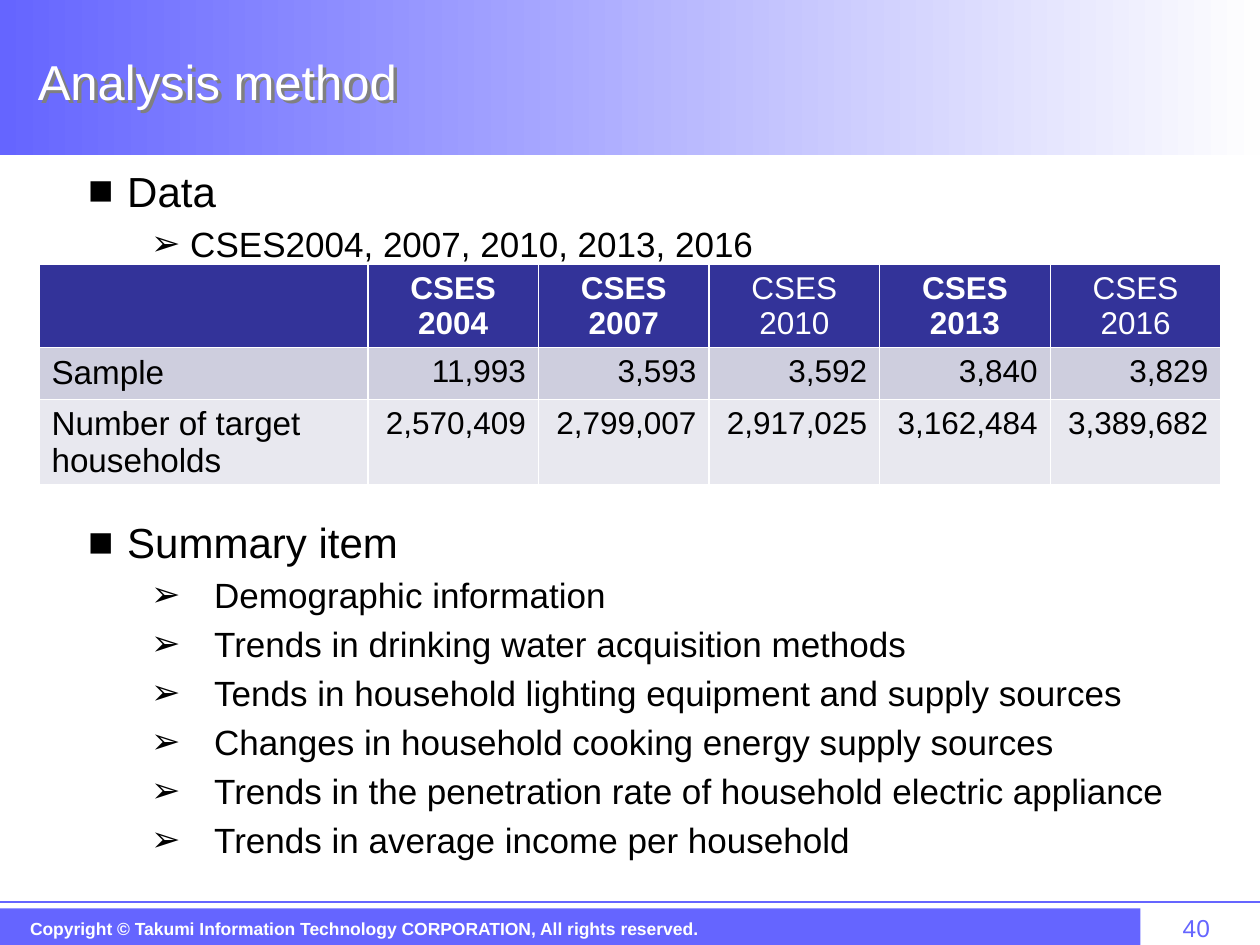
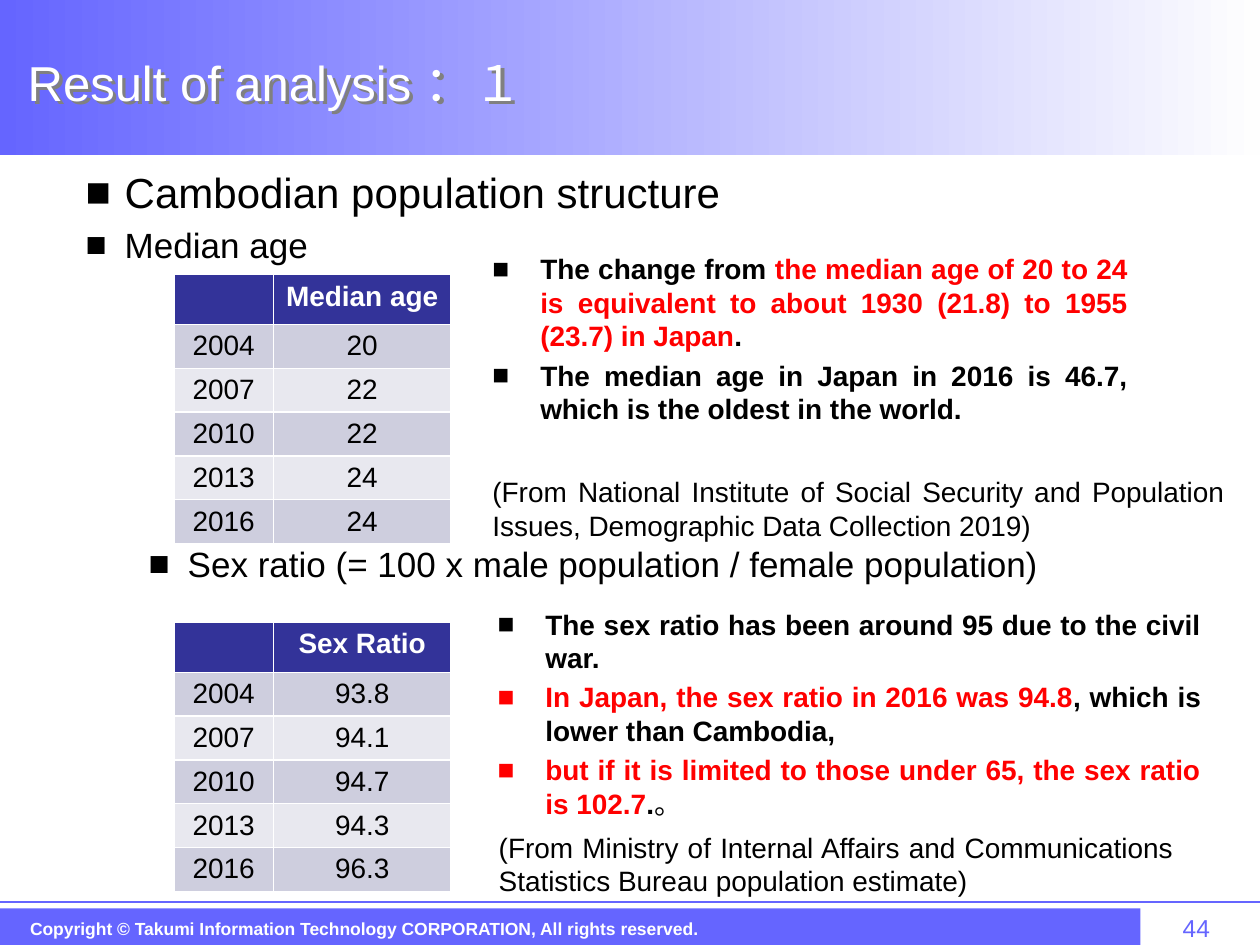
from dataclasses import dataclass

from lxml import etree
from pptx import Presentation
from pptx import util as u
from pptx.dml.color import RGBColor
from pptx.enum import shapes, text
from pptx.oxml import ns

COLUMNS, ROWS = 100, 75
WIDTH, HEIGHT = u.Inches(10), u.Inches(7.5)
LEFT, CENTER, RIGHT, JUSTIFY = (
    text.PP_ALIGN.LEFT, text.PP_ALIGN.CENTER, text.PP_ALIGN.RIGHT, text.PP_ALIGN.JUSTIFY)
SQUARE, ARROW = "■", "➢"


@dataclass(frozen=True)
class Theme:
    font: str = "Arial"
    accent: str = "6565FF"
    fade: str = "FEFEFE"
    white: str = "FFFFFF"
    ink: str = "000000"
    alert: str = "FF0000"
    shadow: str = "808080"
    header: str = "333399"
    bands: tuple = ("CECEDE", "E8E8EF")
    title: int = 28
    heading: int = 24
    item: int = 20
    label: int = 19
    figure: int = 18
    note: int = 16
    page: int = 14
    footer: int = 10


THEME = Theme()


def across(columns):
    return round(WIDTH * columns / COLUMNS)


def down(rows):
    return round(HEIGHT * rows / ROWS)


def box(left, top, width, height):
    return across(left), down(top), across(width), down(height)


def apply(target, values):
    for name, value in values.items():
        setattr(target, name, value)


def move(shape, area):
    apply(shape, dict(zip(("left", "top", "width", "height"), area)))


def add_xml(parent, tag, **attributes):
    return etree.SubElement(parent, ns.qn(tag), attributes)


def add_run(paragraph, wording, size, color=THEME.ink, bold=False):
    run = paragraph.add_run()
    run.text = wording
    apply(run.font, {"name": THEME.font, "size": u.Pt(size), "bold": bold})
    run.font.color.rgb = RGBColor.from_string(color)


def set_bullet(paragraph, character, margin, hanging):
    properties = paragraph._p.get_or_add_pPr()
    properties.set("marL", str(across(margin)))
    properties.set("indent", str(-across(hanging)))
    add_xml(properties, "a:buFont", typeface=THEME.font)
    add_xml(properties, "a:buChar", char=character)


def prepare_frame(shape, inset=True):
    frame = shape.text_frame
    apply(frame, {"word_wrap": True, "auto_size": text.MSO_AUTO_SIZE.NONE})
    if not inset:
        apply(frame, dict.fromkeys(
            ("margin_left", "margin_top", "margin_right", "margin_bottom"), 0))
    return frame


def next_paragraph(frame, index, gap):
    paragraph = frame.add_paragraph() if index else frame.paragraphs[0]
    apply(paragraph, {
        "alignment": JUSTIFY, "line_spacing": 1.0,
        "space_before": u.Pt(gap if index else 0)})
    return paragraph


def add_label(slide, area, wording, size, color, bold=False, alignment=LEFT):
    shape = slide.shapes.add_textbox(*area)
    paragraph = prepare_frame(shape).paragraphs[0]
    paragraph.alignment = alignment
    add_run(paragraph, wording, size, color, bold)
    return shape


def add_band(slide, area):
    band = slide.shapes.add_shape(shapes.MSO_SHAPE.RECTANGLE, *area)
    band.shadow.inherit = False
    band.line.fill.background()
    return band


def add_title_band(slide):
    band = add_band(slide, box(0, 0, 100, 12.3))
    band.fill.gradient()
    band.fill.gradient_angle = 0
    for stop, color in zip(band.fill.gradient_stops, (THEME.accent, THEME.fade)):
        stop.color.rgb = RGBColor.from_string(color)
    return band


def add_footer_band(slide):
    band = add_band(slide, box(0, 72.1, 90.5, 2.9))
    band.fill.solid()
    band.fill.fore_color.rgb = RGBColor.from_string(THEME.accent)
    return band


def add_footer_rule(slide):
    rule = slide.shapes.add_connector(
        shapes.MSO_CONNECTOR.STRAIGHT, 0, down(71.6), WIDTH, down(71.6))
    rule.line.width = u.Pt(0.75)
    rule.line.color.rgb = RGBColor.from_string(THEME.accent)
    add_xml(rule.element.spPr, "a:effectLst")
    return rule


def decorate_layout(layout, slide):
    copyright_line = add_label(
        slide, box(1.4, 72.4, 59.6, 2.6),
        "Copyright © Takumi Information Technology CORPORATION, All rights reserved.",
        THEME.footer, THEME.white, bold=True)
    decorations = (add_title_band(slide), add_footer_band(slide), copyright_line,
                   add_footer_rule(slide))
    for index, shape in enumerate(decorations):
        shape.element.xpath(".//p:cNvPr")[0].set("id", str(20 + index))
        layout.shapes.element.insert(2 + index, shape.element)


def add_text_shadow(shape):
    shape.fill.background()
    effects = add_xml(shape.element.spPr, "a:effectLst")
    shadow = add_xml(effects, "a:outerShdw", dist="35921", dir="2700000", algn="ctr",
                     rotWithShape="0")
    add_xml(shadow, "a:srgbClr", val=THEME.shadow)


def set_title(slide, wording, left, top):
    title = slide.shapes.title
    move(title, box(left, top, 90, 5.4))
    add_text_shadow(title)
    frame = prepare_frame(title)
    frame.vertical_anchor = text.MSO_ANCHOR.MIDDLE
    frame.paragraphs[0].alignment = LEFT
    add_run(frame.paragraphs[0], wording, THEME.title, THEME.white)


def set_outline(slide, area, entries):
    body = slide.placeholders[1]
    move(body, area)
    frame = prepare_frame(body, inset=False)
    for index, (wording, character, size, margin, hanging, gap) in enumerate(entries):
        paragraph = next_paragraph(frame, index, gap or size * 0.2)
        set_bullet(paragraph, character, margin, hanging)
        add_run(paragraph, wording, size)


def add_findings(slide, area, findings):
    frame = prepare_frame(slide.shapes.add_textbox(*area))
    for index, finding in enumerate(findings):
        paragraph = next_paragraph(frame, index, THEME.note * 0.2)
        set_bullet(paragraph, SQUARE, 3.8, 3.8)
        for wording, color, bold in finding:
            add_run(paragraph, wording, THEME.note, color, bold)


def add_source_note(slide, area, wording):
    frame = prepare_frame(slide.shapes.add_textbox(*area))
    add_run(next_paragraph(frame, 0, 0), wording, THEME.note)


def set_borders(cell):
    properties = cell._tc.get_or_add_tcPr()
    for index, side in enumerate(("a:lnL", "a:lnR", "a:lnT", "a:lnB")):
        line = etree.Element(ns.qn(side), w=str(u.Pt(1)))
        add_xml(add_xml(line, "a:solidFill"), "a:srgbClr", val=THEME.white)
        properties.insert(index, line)


def add_grid(slide, left, top, widths, heights, rows, style):
    area = box(left, top, sum(widths), sum(heights))
    table = slide.shapes.add_table(len(rows), len(widths), *area).table
    for column, width in zip(table.columns, widths):
        column.width = across(width)
    for row, height in zip(table.rows, heights):
        row.height = down(height)
    for y, values in enumerate(rows):
        for x, value in enumerate(values):
            cell = table.cell(y, x)
            apply(cell, {"margin_top": down(0.5), "margin_bottom": down(0.4)})
            cell.fill.solid()
            cell.fill.fore_color.rgb = RGBColor.from_string(
                THEME.bands[(y - 1) % 2] if y else THEME.header)
            set_borders(cell)
            alignment, size, bold = style(y, x)
            for index, line in enumerate(value.split("\n") if value else []):
                frame = cell.text_frame
                paragraph = frame.add_paragraph() if index else frame.paragraphs[0]
                paragraph.alignment = alignment
                add_run(paragraph, line, size, THEME.ink if y else THEME.white, bold)


def survey_style(y, x):
    if y == 0:
        return CENTER, THEME.figure, x in (1, 2, 4)
    return (RIGHT, THEME.figure, False) if x else (LEFT, THEME.label, False)


def yearly_style(y, x):
    return CENTER, THEME.note, y == 0


def add_yearly_table(slide, top, heading, values):
    years = ("2004", "2007", "2010", "2013", "2016")
    add_grid(slide, 13.8, top, (7.9, 14.1), (3.9,) + (3.48,) * len(years),
             [("", heading), *zip(years, values)], yearly_style)


def add_page_number(slide, number):
    add_label(slide, box(90.8, 72, 8.3, 2.8), number, THEME.page, THEME.accent,
              alignment=CENTER)


def build_method(slide):
    set_title(slide, "Analysis method", 2, 3.7)
    summary = (
        "Demographic information",
        "Trends in drinking water acquisition methods",
        "Tends in household lighting equipment and supply sources",
        "Changes in household cooking energy supply sources",
        "Trends in the penetration rate of household electric appliance",
        "Trends in average income per household",
    )
    set_outline(slide, box(2, 13.1, 95.3, 56.7), [
        ("Data", SQUARE, THEME.heading, 8.1, 3.1, None),
        ("CSES2004, 2007, 2010, 2013, 2016", ARROW, THEME.item, 13.1, 3.1, None),
        ("Summary item", SQUARE, THEME.heading, 8.1, 3.1, 144),
        *((item, ARROW, THEME.item, 15, 5, None) for item in summary),
    ])
    add_grid(slide, 3.1, 21, (26.1,) + (13.54,) * 5, (6.6, 4.1, 6.8), [
        ("", "CSES\n2004", "CSES\n2007", "CSES\n2010", "CSES\n2013", "CSES\n2016"),
        ("Sample", "11,993", "3,593", "3,592", "3,840", "3,829"),
        ("Number of target households", "2,570,409", "2,799,007", "2,917,025",
         "3,162,484", "3,389,682"),
    ], survey_style)
    add_page_number(slide, "40")


def build_result(slide):
    set_title(slide, "Result of analysis ：１", 1.2, 3.8)
    set_outline(slide, box(1.8, 13.2, 98.2, 58), [
        ("Cambodian population structure", SQUARE, THEME.heading, 8.1, 3.1, None),
        ("Median age", SQUARE, THEME.item, 8.1, 3.1, None),
        ("Sex ratio (= 100 x male population / female population)", SQUARE,
         THEME.item, 13.1, 3.1, 158),
    ])
    add_yearly_table(slide, 21.8, "Median age", ("20", "22", "22", "24", "24"))
    add_findings(slide, box(38.1, 19.5, 52.4, 16.3), [
        [("The change from ", THEME.ink, True),
         ("the median age of 20 to 24 is equivalent to about 1930 (21.8) to 1955 "
          "(23.7) in Japan", THEME.alert, True),
         (".", THEME.ink, True)],
        [("The median age in Japan in 2016 is 46.7, which is the oldest in the world.",
          THEME.ink, True)],
    ])
    add_source_note(
        slide, box(38.1, 37.2, 60.1, 6),
        "(From National Institute of Social Security and Population Issues, "
        "Demographic Data Collection 2019)")
    add_yearly_table(slide, 49.4, "Sex Ratio", ("93.8", "94.1", "94.7", "94.3", "96.3"))
    add_findings(slide, box(38.5, 47.7, 57.8, 15.7), [
        [("The sex ratio has been around 95 due to the civil war.", THEME.ink, True)],
        [("In Japan, the sex ratio in 2016 was 94.8", THEME.alert, True),
         (", which is lower than Cambodia,", THEME.ink, True)],
        [("but if it is limited to those under 65, the sex ratio is 102.7",
          THEME.alert, True),
         (".", THEME.ink, True), ("。", THEME.ink, False)],
    ])
    add_source_note(
        slide, box(38.6, 65.4, 55.5, 6),
        "(From Ministry of Internal Affairs and Communications Statistics Bureau "
        "population estimate)")
    add_page_number(slide, "44")


def main():
    presentation = Presentation()
    apply(presentation, {"slide_width": WIDTH, "slide_height": HEIGHT})
    layout = presentation.slide_layouts[1]
    method, result = (presentation.slides.add_slide(layout) for _ in range(2))
    decorate_layout(layout, method)
    build_method(method)
    build_result(result)
    presentation.save("out.pptx")


if __name__ == "__main__":
    main()
